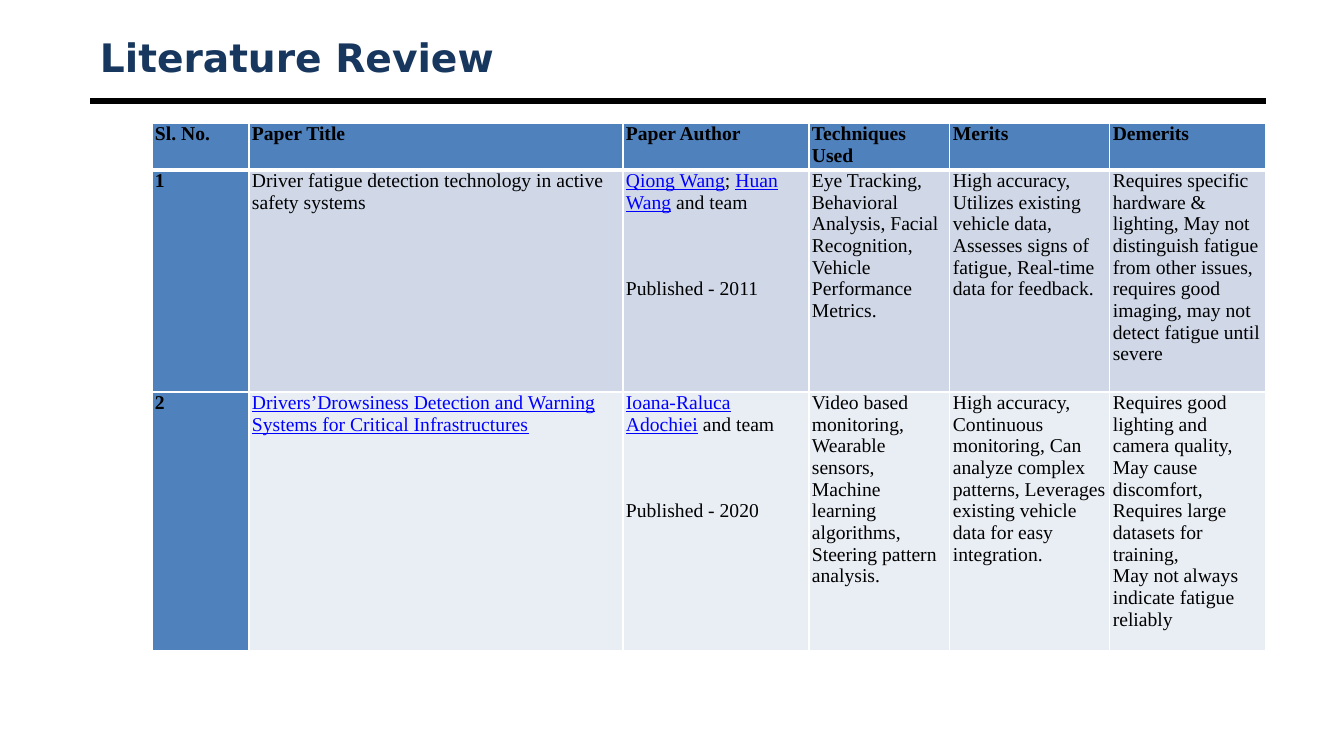
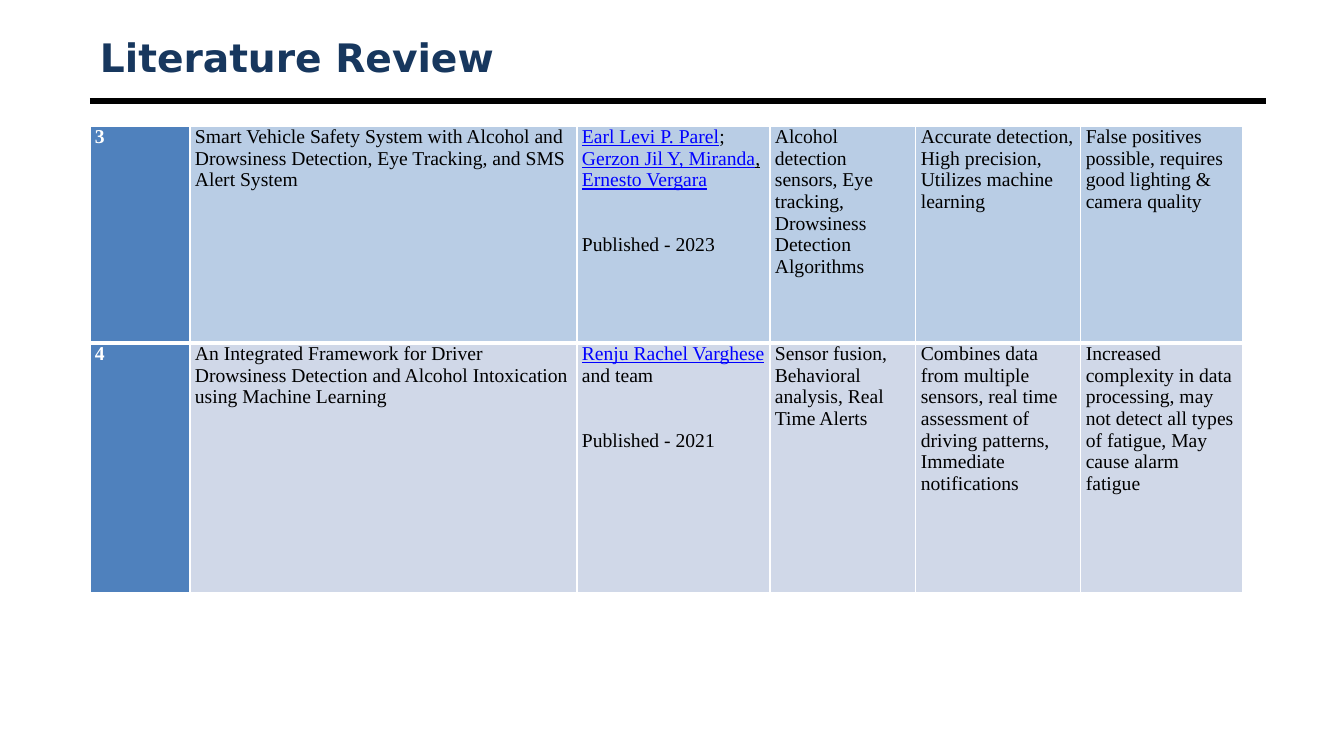
from dataclasses import dataclass

from lxml.etree import SubElement
from pptx import Presentation
from pptx.dml.color import RGBColor
from pptx.enum.shapes import MSO_CONNECTOR
from pptx.enum.text import MSO_ANCHOR
from pptx.oxml.ns import qn
from pptx.util import Emu, Pt

EMU_PER_PX = 12192000 / 1344


@dataclass(frozen=True)
class Theme:
    title_font: str = "DejaVu Sans"
    body_font: str = "Times New Roman"
    title_size: int = 28
    body_size: int = 14
    title: str = "17375E"
    ink: str = "000000"
    white: str = "FFFFFF"
    link: str = "0000FF"
    header: str = "4F81BD"
    blue: str = "B9CDE5"
    band: str = "D0D8E8"
    pale: str = "E9EDF4"
    rule_width: float = 4.5
    border: int = 1
    thick_border: int = 3
    line_height: float = 15.5


theme = Theme()


def px(length):
    return Emu(round(length * EMU_PER_PX))


def write(frame, text, font=theme.body_font, size=theme.body_size, color=theme.ink,
          bold=False, underline=False, gap=0):
    """Append text to the frame; a newline starts a paragraph, gap blank lines lower."""
    for index, part in enumerate(text.split("\n")):
        if index:
            frame.add_paragraph().space_before = Pt(gap * theme.line_height)
        if part:
            span = frame.paragraphs[-1].add_run()
            span.text = part
            span.font.name = font
            span.font.size = Pt(size)
            span.font.bold = bold
            span.font.underline = underline
            span.font.color.rgb = RGBColor.from_string(color)


BOLD = {"bold": True}
WHITE_BOLD = {"bold": True, "color": theme.white}
LINK = {"color": theme.link, "underline": True}

# A cell is plain text or a list of (text, format) spans.
header_row = [[(label, BOLD)] for label in (
    "Sl. No.", "Paper Title", "Paper Author", "Techniques Used", "Merits", "Demerits")]

fatigue_row = [
    [("1", BOLD)],
    "Driver fatigue detection technology in active safety systems",
    [("Qiong Wang", LINK), ("; ", {}), ("Huan Wang", LINK), (" and team", {}),
     ("\nPublished - 2011", {"gap": 3})],
    "Eye Tracking, Behavioral Analysis, Facial Recognition, Vehicle Performance Metrics.",
    "High accuracy, Utilizes existing vehicle data,\n"
    "Assesses signs of fatigue, Real-time data for feedback.",
    "Requires specific hardware & lighting, May not distinguish fatigue from other issues, "
    "requires good imaging, may not detect fatigue until severe",
]

drowsiness_row = [
    [("2", BOLD)],
    [("Drivers’Drowsiness Detection and Warning Systems for Critical Infrastructures", LINK)],
    [("Ioana-Raluca Adochiei", LINK), (" and team", {}),
     ("\nPublished - 2020", {"gap": 3})],
    "Video based monitoring, Wearable sensors, Machine learning algorithms, "
    "Steering pattern analysis.",
    "High accuracy, Continuous monitoring, Can analyze complex patterns, "
    "Leverages existing vehicle data for easy integration.",
    "Requires good lighting and camera quality, May cause discomfort, "
    "Requires large datasets for training,\nMay not always indicate fatigue reliably",
]

alcohol_row = [
    [("3", WHITE_BOLD)],
    "Smart Vehicle Safety System with Alcohol and Drowsiness Detection, Eye Tracking, "
    "and SMS Alert System",
    [("Earl Levi P. Parel", LINK), ("; ", {}), ("Gerzon Jil Y, Miranda", LINK),
     (", ", {"underline": True}), ("Ernesto Vergara", LINK),
     ("\nPublished - 2023", {"gap": 2})],
    "Alcohol detection sensors, Eye tracking, Drowsiness Detection Algorithms",
    "Accurate detection, High precision, Utilizes machine learning",
    "False positives possible, requires good lighting & camera quality",
]

framework_row = [
    [("4", WHITE_BOLD)],
    "An Integrated Framework for Driver Drowsiness Detection and Alcohol Intoxication "
    "using Machine Learning",
    [("Renju Rachel Varghese", LINK), (" and team", {}),
     ("\nPublished - 2021", {"gap": 2})],
    "Sensor fusion, Behavioral analysis, Real Time Alerts",
    "Combines data from multiple sensors, real time assessment of driving patterns, "
    "Immediate notifications",
    "Increased complexity in data processing, may not detect all types of fatigue, "
    "May cause alarm fatigue",
]

reviews = [
    {"left": 152, "top": 123, "inset": 3,
     "widths": [97, 374, 186, 141, 160, 156], "heights": [37, 222, 240],
     "fills": [theme.header, theme.band, theme.pale],
     "rows": [header_row, fatigue_row, drowsiness_row]},
    {"left": 90, "top": 126, "inset": 5,
     "widths": [100, 387, 193, 146, 165, 162], "heights": [217, 250],
     "fills": [theme.blue, theme.band],
     "rows": [alcohol_row, framework_row]},
]

deck = Presentation()
deck.slide_width, deck.slide_height = px(1344), px(756)

for review in reviews:
    page = deck.slides.add_slide(deck.slide_layouts[6])

    rule = page.shapes.add_connector(MSO_CONNECTOR.STRAIGHT, px(90), px(101), px(1266), px(101))
    rule.line.width = Pt(theme.rule_width)
    rule.line.color.rgb = RGBColor.from_string(theme.ink)
    SubElement(rule.element.spPr, qn("a:effectLst"))

    box = page.shapes.add_textbox(px(90), px(30), px(1176), px(53))
    box.text_frame.word_wrap = True
    box.text_frame.vertical_anchor = MSO_ANCHOR.MIDDLE
    write(box.text_frame, "Literature Review", font=theme.title_font,
          size=theme.title_size, color=theme.title, bold=True)

    widths, heights = review["widths"], review["heights"]
    table = page.shapes.add_table(
        len(heights), len(widths), px(review["left"]), px(review["top"]),
        px(sum(widths)), px(sum(heights))).table
    table.first_row = table.horz_banding = False
    for column, width in zip(table.columns, widths):
        column.width = px(width)

    for row_index, contents in enumerate(review["rows"]):
        table.rows[row_index].height = px(heights[row_index])
        for column_index, content in enumerate(contents):
            cell = table.cell(row_index, column_index)
            cell.margin_left = cell.margin_right = px(review["inset"])
            cell.margin_top = cell.margin_bottom = 0

            for side in "LRTB":
                thick = side == "B" and row_index == 0
                width = Pt(theme.thick_border if thick else theme.border)
                edge = SubElement(cell._tc.get_or_add_tcPr(), qn(f"a:ln{side}"), w=str(width))
                paint = SubElement(edge, qn("a:solidFill"))
                SubElement(paint, qn("a:srgbClr"), val=theme.white)

            fill = review["fills"][row_index] if column_index else theme.header
            cell.fill.solid()
            cell.fill.fore_color.rgb = RGBColor.from_string(fill)

            spans = [(content, {})] if isinstance(content, str) else content
            for text, style in spans:
                write(cell.text_frame, text, **style)

deck.save("out.pptx")
